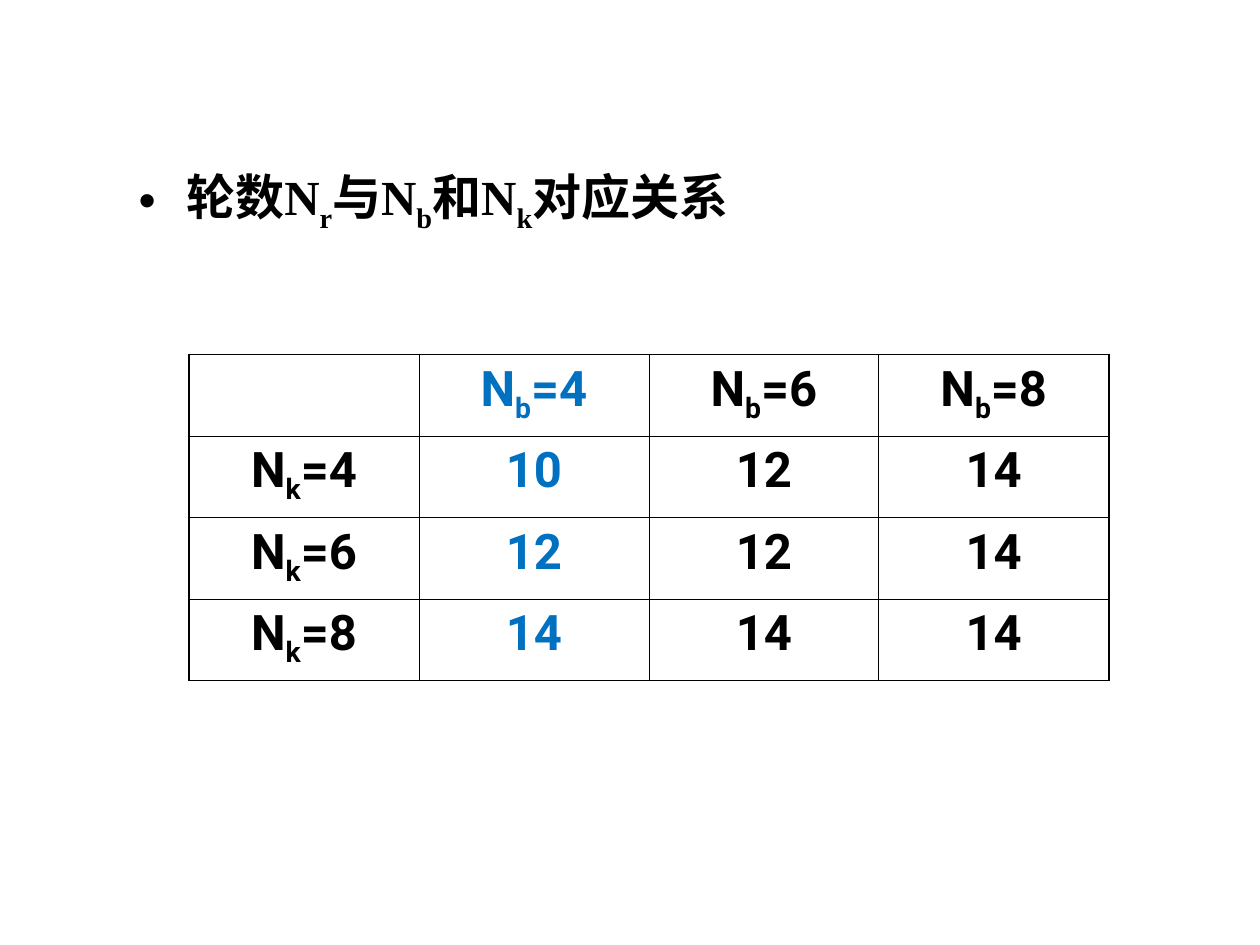
from lxml.etree import SubElement as Sub
from pptx import Presentation
from pptx.dml.color import RGBColor as RGB
from pptx.enum.text import MSO_ANCHOR as Anchor, PP_ALIGN as Align
from pptx.oxml.ns import qn
from pptx.util import Inches, Pt

HUES = {"ink": "000000", "mark": "0070C0", "paper": "FFFFFF"}
WIDE, HIGH = 10, 7.5
THIN, THICK = 0.45, 1.08
SIZES = (4, 6, 8)


class Page:
    size, gap = 28, 7
    serif, sans = "Times New Roman", "Roboto"

    def __init__(self, slide):
        self.slide = slide

    def box(self, x, y, w, h):
        """Turn shares of the slide's size into lengths."""
        return [Inches(v * s) for v, s in zip((x, y, w, h), (WIDE, HIGH) * 2)]

    def label(self, para, parts, font, hue="ink"):
        """Add one run for each part; every second part is a subscript."""
        para.space_before = Pt(self.gap)
        for i, part in enumerate(parts):
            run = para.add_run()
            run.text = part
            face = run.font
            face.name, face.size, face.bold = font, Pt(self.size), True
            face.color.rgb = RGB.from_string(HUES[hue])
            if i % 2:
                run._r.get_or_add_rPr().set("baseline", "-25000")

    def bullet(self, area, parts):
        body = self.slide.placeholders[1]
        body.left, body.top, body.width, body.height = self.box(*area)
        frame = body.text_frame
        frame.vertical_anchor = Anchor.TOP
        para = frame.paragraphs[0]
        self.label(para, parts, self.serif)
        props = para._p.get_or_add_pPr()
        props.set("marL", str(Inches(0.38)))
        props.set("indent", str(Inches(-0.38)))
        tint = Sub(props, qn("a:buClr"))
        Sub(tint, qn("a:srgbClr"), val=HUES["ink"])
        Sub(props, qn("a:buFont"), typeface="Arial")
        Sub(props, qn("a:buChar"), char="•")

    def edge(self, cell, widths):
        """Draw the left, right, top and bottom borders."""
        props = cell._tc.get_or_add_tcPr()
        for i, (side, width) in enumerate(zip("LRTB", widths)):
            line = Sub(props, qn("a:ln" + side), w=str(Pt(width)))
            fill = Sub(line, qn("a:solidFill"))
            Sub(fill, qn("a:srgbClr"), val=HUES["ink"])
            props.insert(i, line)

    def table(self, area, rows, mark):
        """Fill a grid, with the column numbered mark in colour."""
        down, across = len(rows), len(rows[0])
        grid = self.slide.shapes.add_table(down, across, *self.box(*area)).table
        for r, row in enumerate(rows):
            for c, parts in enumerate(row):
                cell = grid.cell(r, c)
                cell.fill.solid()
                cell.fill.fore_color.rgb = RGB.from_string(HUES["paper"])
                outer = (c == 0, c == across - 1, r == 0, r == down - 1)
                self.edge(cell, [THICK if out else THIN for out in outer])
                para = cell.text_frame.paragraphs[0]
                para.alignment = Align.CENTER
                hue = "mark" if c == mark else "ink"
                self.label(para, parts, self.sans, hue)


def main():
    deck = Presentation()
    deck.slide_width, deck.slide_height = Inches(WIDE), Inches(HIGH)
    slide = deck.slides.add_slide(deck.slide_layouts[1])
    title = slide.shapes.title._element
    title.getparent().remove(title)

    page = Page(slide)
    page.bullet((0.1, 0.17, 0.76, 0.16),
                ("轮数N", "r", "与N", "b", "和N", "k", "对应关系"))
    head = [()] + [("N", "b", f"={nb}") for nb in SIZES]
    rows = [[("N", "k", f"={nk}")] + [(str(max(nb, nk) + 6),) for nb in SIZES]
            for nk in SIZES]
    page.table((0.15, 0.375, 0.73, 0.345), [head] + rows, mark=1)
    deck.save("out.pptx")


if __name__ == "__main__":
    main()
